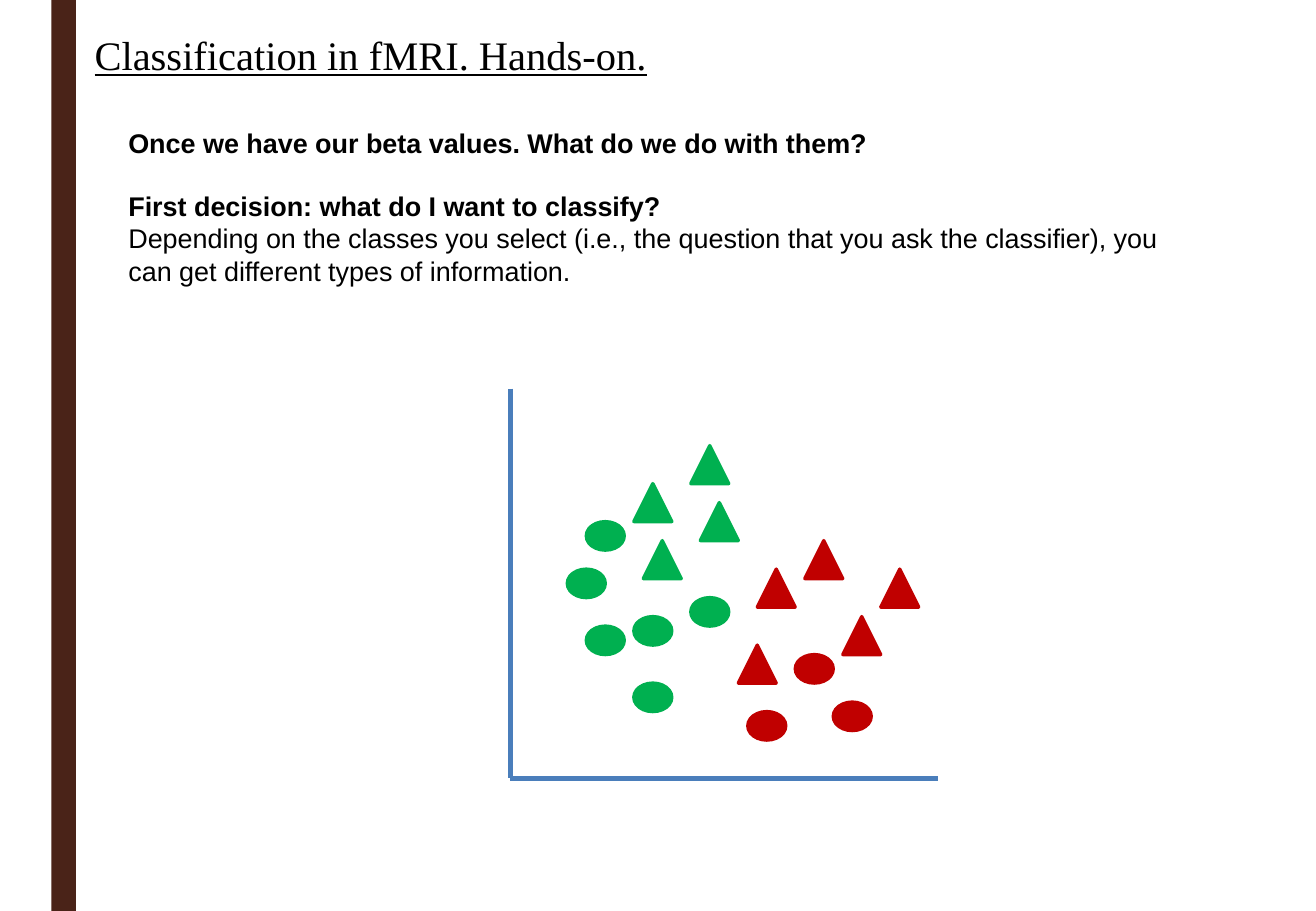
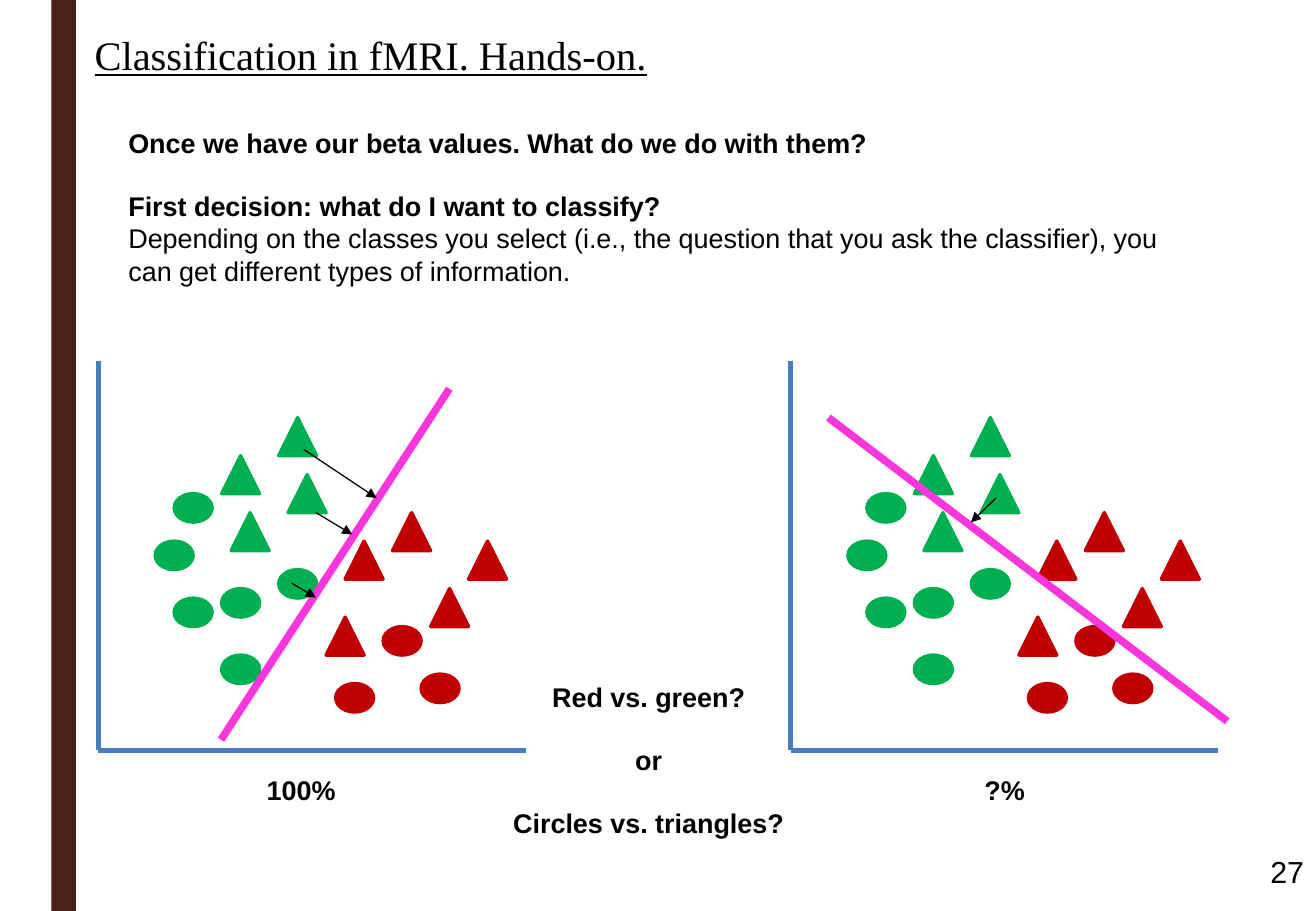
from pptx import Presentation
from pptx.util import Pt
from pptx.dml.color import RGBColor
from pptx.enum.shapes import MSO_SHAPE as SHP, MSO_CONNECTOR as CONN
from pptx.enum.text import PP_ALIGN as AL, MSO_ANCHOR as ANC
from pptx.oxml.ns import qn
from lxml.etree import SubElement

# Shared colours and text formats
BROWN, BLUE, PINK, BLACK = "4A2318", "4A7EBB", "F737DC", "000000"
GREEN, RED = "00B050", "C00000"
TITLE = {"name": "Times New Roman", "size": Pt(24), "underline": True}
BODY = {"name": "Arial", "size": Pt(16), "bold": False}
BOLD = {**BODY, "bold": True}
NUMBER = {"name": "Arial", "size": Pt(18)}
GAP = 18.4  # one 16 pt line of Arial

# Scatter plot, in grid units from the top of the vertical axis
UNIT = 5.63
AXIS_W, AXIS_H = 45, 41
CIRCLE, TRIANGLE = (SHP.OVAL, 4, 3), (SHP.ISOSCELES_TRIANGLE, 4, 4)
POINTS = [
    (CIRCLE, GREEN, [(8, 14), (6, 19), (13, 24), (8, 25), (19, 22), (13, 31)]),
    (TRIANGLE, RED, [(31, 16), (26, 19), (35, 24), (24, 27), (39, 19)]),
    (CIRCLE, RED, [(30, 28), (34, 33), (25, 34)]),
    (TRIANGLE, GREEN, [(13, 10), (20, 12), (14, 16), (19, 6)]),
]


def rgb(color):
    return RGBColor.from_string(color)


def add_shape(s, kind, x, y, w, h, color, line=0):
    sp = s.shapes.add_shape(kind, Pt(x), Pt(y), Pt(w), Pt(h))
    sp.shadow.inherit = False
    sp.fill.solid()
    sp.fill.fore_color.rgb = rgb(color)
    if line:
        sp.line.color.rgb = rgb(color)
        sp.line.width = Pt(line)
    else:
        sp.line.fill.background()


def add_line(s, x1, y1, x2, y2, color, width, arrow=False):
    cn = s.shapes.add_connector(CONN.STRAIGHT, Pt(x1), Pt(y1), Pt(x2), Pt(y2))
    cn.line.color.rgb = rgb(color)
    cn.line.width = Pt(width)
    if arrow:
        SubElement(cn.line._get_or_add_ln(), qn("a:tailEnd"), type="triangle")
    SubElement(cn._element.spPr, qn("a:effectLst"))


def add_text(s, x, y, w, h, paras, align=AL.LEFT, anchor=ANC.TOP):
    """Each paragraph is (text, format, space before)."""
    tf = s.shapes.add_textbox(Pt(x), Pt(y), Pt(w), Pt(h)).text_frame
    tf.word_wrap = True
    tf.vertical_anchor = anchor
    for i, (text, fmt, before) in enumerate(paras):
        p = tf.add_paragraph() if i else tf.paragraphs[0]
        p.alignment = align
        p.space_before = Pt(before)
        r = p.add_run()
        r.text = text
        r.font.color.rgb = rgb(BLACK)
        for key, value in fmt.items():
            setattr(r.font, key, value)


def add_plot(s, x, y):
    bottom = y + AXIS_H * UNIT
    add_line(s, x, y, x, bottom, BLUE, 3)
    add_line(s, x + AXIS_W * UNIT, bottom, x, bottom, BLUE, 3)
    for (kind, w, h), color, cells in POINTS:
        for col, row in cells:
            add_shape(s, kind, x + col * UNIT, y + row * UNIT,
                      w * UNIT, h * UNIT, color, 2)


def add_base(prs):
    """Blank slide with the band, title and introduction."""
    s = prs.slides.add_slide(prs.slide_layouts[6])
    add_shape(s, SHP.RECTANGLE, 30.5, 0, 14.5, 540, BROWN)
    add_text(s, 49, 14.4, 726, 39,
             [("Classification in fMRI. Hands-on.", TITLE, 0)])
    add_text(s, 69, 71.3, 641, 113, [
        ("Once we have our beta values. What do we do with them?", BOLD, 0),
        ("First decision: what do I want to classify?", BOLD, GAP),
        ("Depending on the classes you select (i.e., the question that you "
         "ask the classifier), you can get different types of information.",
         BODY, 0),
    ])
    return s


def main():
    prs = Presentation()
    prs.slide_width, prs.slide_height = Pt(780), Pt(540)

    # Slide 1: the data
    add_plot(add_base(prs), 302.5, 230.4)

    # Slide 2: two ways to split the data
    s = add_base(prs)
    for x in (58.2, 468.8):
        add_plot(s, x, 213.8)
    add_text(s, 294.5, 399.6, 180, 122, [
        ("Red vs. green?", BOLD, 0),
        ("or", BOLD, GAP),
        ("Circles vs. triangles?", BOLD, GAP),
    ], AL.CENTER)

    # Class boundaries and distances to them
    for ends in ((131, 438.5, 266.4, 230.4), (727.4, 427.5, 491, 247.5)):
        add_line(s, *ends, PINK, 4.5)
    for ends in ((180, 266.4, 223.2, 295.2), (187.2, 303.8, 208.8, 316.8),
                 (590.4, 295.2, 575.5, 309.6), (172.8, 345.6, 187.2, 354.2)):
        add_line(s, *ends, BLACK, 0.75, arrow=True)

    # Accuracy labels and slide number
    for x, label in ((88.5, "100%"), (505.5, "?%")):
        add_text(s, x, 455, 180, 30, [(label, BOLD, 0)], AL.CENTER)
    add_text(s, 598.5, 502, 181.5, 28.6, [("27", NUMBER, 0)],
             AL.RIGHT, ANC.BOTTOM)

    prs.save("out.pptx")


if __name__ == "__main__":
    main()
